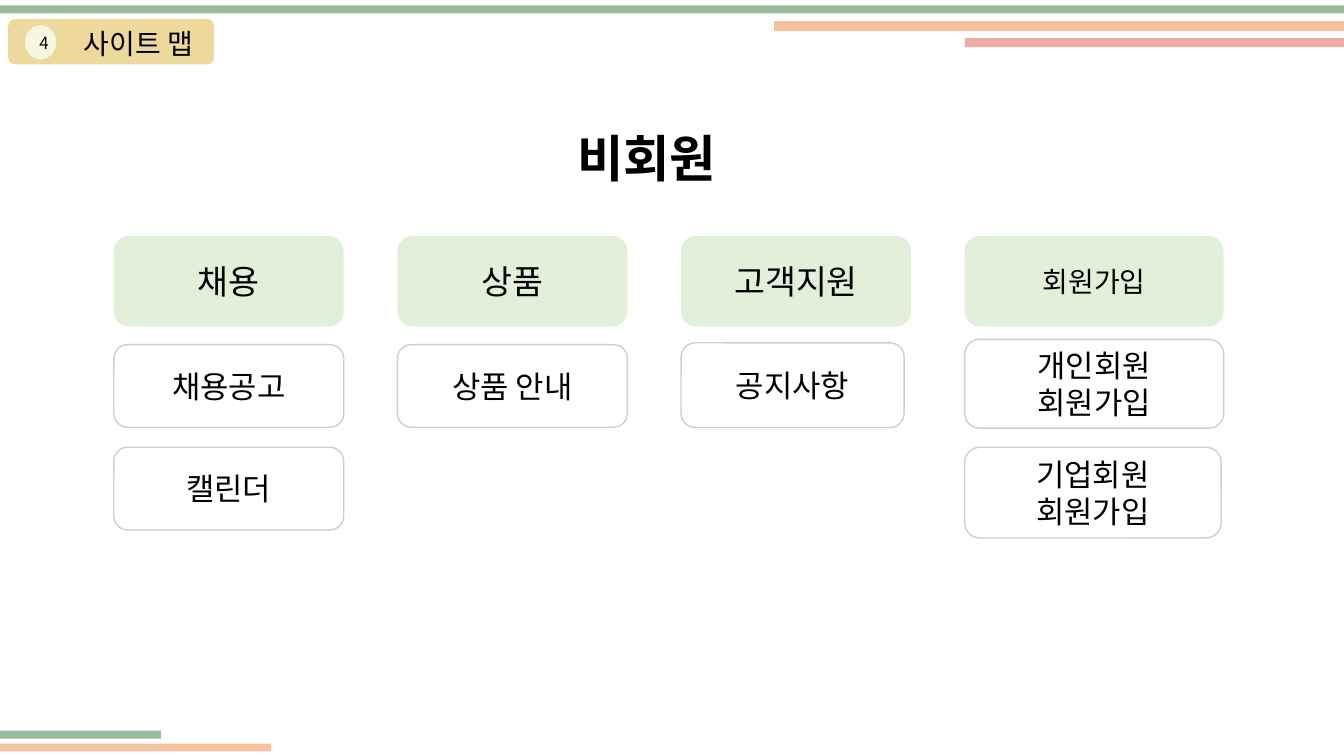
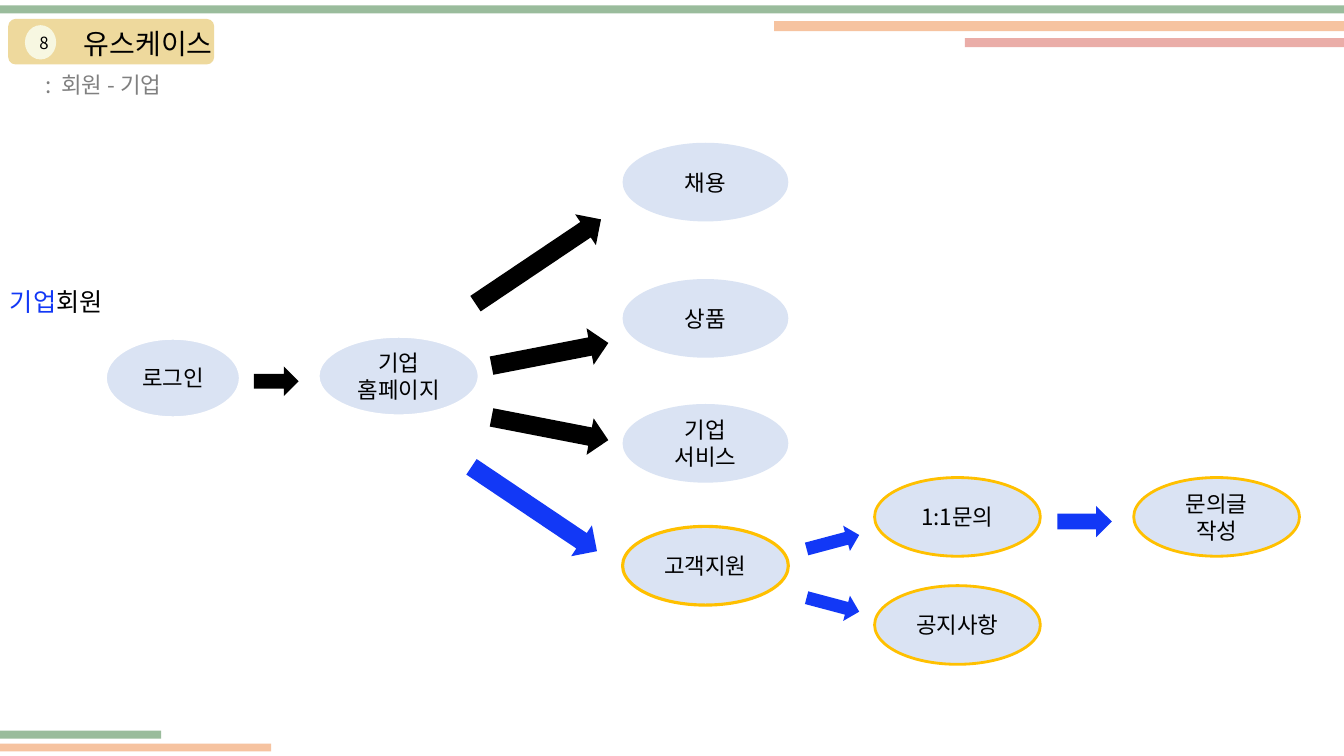
"""Build a site map slide and a use case slide that share one frame."""
from dataclasses import dataclass
from typing import NamedTuple

from lxml.etree import SubElement
from pptx import Presentation
from pptx.dml.color import RGBColor
from pptx.enum.shapes import MSO_SHAPE
from pptx.enum.text import MSO_ANCHOR, PP_ALIGN
from pptx.oxml.ns import qn
from pptx.shapes.autoshape import Shape
from pptx.slide import Slide
from pptx.util import Pt

FONT = "Noto Sans CJK KR"
COLORS = {
    "green": "9ABC9C", "orange": "F6C3A0", "pink": "EAADA8",
    "tag": "EED99D", "badge": "F7F7E1", "head": "E2F0D9",
    "border": "D0CECE", "node": "DAE3F3", "gold": "FFC000",
    "blue": "1238F6", "gray": "808080", "black": "000000", "white": "FFFFFF",
}
TEXT_BOX = {"word_wrap": True, "vertical_anchor": MSO_ANCHOR.TOP}
SHAPE_TEXT = {"word_wrap": True, "vertical_anchor": MSO_ANCHOR.MIDDLE}

SLIDE_W, SLIDE_H = 960, 540
COL_LEFT, COL_PITCH = 81.3, 202.6
HEAD_TOP, HEAD_H = 168.5, 64.8
NODE_W, NODE_H = 118.4, 56.2


class Box(NamedTuple):
    """Left, top, width and height in points."""
    left: float
    top: float
    width: float
    height: float


@dataclass
class Item:
    """One page under a site map heading."""
    text: str
    top: float = 246.2
    height: float = 59
    width: float = 164.2


@dataclass
class Column:
    """One site map heading with its pages."""
    head: str
    items: list[Item]
    width: float = 164.2
    size: float = 24


@dataclass
class Node:
    """One use case ellipse."""
    text: str
    left: float
    top: float
    line: str = ""
    weight: float = 2
    width: float = NODE_W


@dataclass
class Arrow:
    """One block arrow turned by an angle."""
    box: Box
    angle: float = 0
    color: str = "black"


BANDS = [
    (Box(0, 3.8, SLIDE_W, 5.8), "green"),
    (Box(553, 15.1, 407, 7.2), "orange"),
    (Box(0, 531.2, 193.7, 5.6), "orange"),
    (Box(0, 521.8, 115.2, 5.8), "green"),
    (Box(689.2, 27.2, 270.8, 6.5), "pink"),
]
COLUMNS = [
    Column("채용", [Item("채용공고"), Item("캘린더", 319.5)]),
    Column("상품", [Item("상품 안내")]),
    Column("고객지원", [Item("공지사항", 244.9, 60.5, 159.3)]),
    Column("회원가입", [Item("개인회원\n회원가입", 242.4, 63.4, 185),
                    Item("기업회원\n회원가입", 319.5, 64.8, 183.2)], 185, 20),
]
NODES = [
    Node("로그인", 75.6, 241.9, "white", 1.5, 95.8),
    Node("기업\v홈페이지", 227.5, 240.5, "white", 1.5, 114.5),
    Node("채용", 444.7, 102),
    Node("상품", 444.7, 199.3),
    Node("기업\n서비스", 444.7, 288.6),
    Node("고객지원", 444.7, 376, "gold", 2.25),
    Node("1:1문의", 624.7, 341.1, "gold"),
    Node("공지사항", 624.7, 418.3, "gold"),
    Node("문의글\n작성", 809.8, 341.1, "gold"),
]
ARROWS = [
    Arrow(Box(181.3, 261.7, 32, 21.2)),
    Arrow(Box(330.5, 173.5, 108, 26.6), 326.1),
    Arrow(Box(350.3, 239.8, 85, 26.6), 349),
    Arrow(Box(350.3, 293, 85, 26.6), 11),
    Arrow(Box(327.6, 350.3, 108, 26.6), 33.9, "blue"),
    Arrow(Box(575.5, 377.8, 38.9, 18.7), 345.1, "blue"),
    Arrow(Box(575.5, 422.6, 38.9, 18.7), 14.9, "blue"),
    Arrow(Box(755.3, 361.4, 38.9, 22.3), 0, "blue"),
]


def rgb(name: str) -> RGBColor:
    """Return a named colour."""
    return RGBColor.from_string(COLORS[name])


def style(sp: Shape, frame: dict, size: float, align: PP_ALIGN,
          color: str = "black", bold: bool = False) -> None:
    """Format all text of a shape."""
    tf = sp.text_frame
    for key, value in frame.items():
        setattr(tf, key, value)
    fmt = {"name": FONT, "size": Pt(size), "bold": bold}
    for p in tf.paragraphs:
        p.alignment = align
        for r in p.runs:
            for key, value in fmt.items():
                setattr(r.font, key, value)
            r.font.color.rgb = rgb(color)
            SubElement(r.font._element, qn("a:ea"), typeface=FONT)


def add_box(s: Slide, kind: MSO_SHAPE, box: Box, fill: str, text: str = "",
            size: float = 16, line: str = "", weight: float = 1,
            align: PP_ALIGN = PP_ALIGN.CENTER) -> Shape:
    """Add a filled preset shape with optional text."""
    sp = s.shapes.add_shape(kind, *map(Pt, box))
    sp.shadow.inherit = False
    sp.fill.solid()
    sp.fill.fore_color.rgb = rgb(fill)
    if line:
        sp.line.color.rgb = rgb(line)
        sp.line.width = Pt(weight)
    else:
        sp.line.fill.background()
    if text:
        sp.text_frame.text = text
        style(sp, SHAPE_TEXT, size, align)
    return sp


def add_text(s: Slide, box: Box, text: str, size: float,
             align: PP_ALIGN = PP_ALIGN.LEFT, color: str = "black",
             bold: bool = False) -> Shape:
    """Add a wrapping text box."""
    sp = s.shapes.add_textbox(*map(Pt, box))
    sp.text_frame.text = text
    style(sp, TEXT_BOX, size, align, color, bold)
    return sp


def add_slide(prs: Presentation, number: str, title: str) -> Slide:
    """Add a slide with the shared bands, tag, badge and title."""
    s = prs.slides.add_slide(prs.slide_layouts[5])
    for box, color in BANDS:
        add_box(s, MSO_SHAPE.RECTANGLE, box, color)
    tag = add_box(s, MSO_SHAPE.ROUNDED_RECTANGLE, Box(5.8, 13.5, 147.2, 32.6), "tag")
    add_box(s, MSO_SHAPE.OVAL, Box(17.8, 18, 22.3, 24.5), "badge", number, 12,
            align=PP_ALIGN.LEFT)
    sp = s.shapes.title
    tag.element.addnext(sp.element)
    place = zip(("left", "top", "width", "height"), Box(52.6, 15.1, 147.6, 31.5))
    for key, value in place:
        setattr(sp, key, Pt(value))
    sp.text_frame.text = title
    style(sp, TEXT_BOX, 20, PP_ALIGN.LEFT)
    return s


def build_site_map(prs: Presentation) -> None:
    """Draw the site map for visitors."""
    s = add_slide(prs, "4", "사이트 맵")
    add_text(s, Box(383, 87.1, 157.7, 51), "비회원", 36, PP_ALIGN.CENTER, bold=True)
    for i, col in enumerate(COLUMNS):
        left = COL_LEFT + i * COL_PITCH
        add_box(s, MSO_SHAPE.ROUNDED_RECTANGLE,
                Box(left, HEAD_TOP, col.width, HEAD_H), "head", col.head, col.size)
        for item in col.items:
            add_box(s, MSO_SHAPE.ROUNDED_RECTANGLE,
                    Box(left, item.top, item.width, item.height),
                    "white", item.text, 22, "border")


def build_use_case(prs: Presentation) -> None:
    """Draw the use case of a company member."""
    s = add_slide(prs, "8", "유스케이스")
    add_text(s, Box(25.2, 47.5, 109.4, 26.6), ":  회원 - 기업", 16, color="gray")
    sp = add_text(s, Box(0, 200.9, 92.9, 28.8), "기업", 18, PP_ALIGN.JUSTIFY)
    p = sp.text_frame.paragraphs[0]
    p.add_run().text = "회원"
    style(sp, TEXT_BOX, 18, PP_ALIGN.JUSTIFY)
    p.runs[0].font.color.rgb = rgb("blue")
    for node in NODES:
        add_box(s, MSO_SHAPE.OVAL, Box(node.left, node.top, node.width, NODE_H),
                "node", node.text, 16, node.line, node.weight)
    for arrow in ARROWS:
        sp = add_box(s, MSO_SHAPE.RIGHT_ARROW, arrow.box, arrow.color)
        sp.rotation = arrow.angle


def main() -> None:
    """Build and save the presentation."""
    prs = Presentation()
    prs.slide_width, prs.slide_height = Pt(SLIDE_W), Pt(SLIDE_H)
    build_site_map(prs)
    build_use_case(prs)
    prs.save("out.pptx")


if __name__ == "__main__":
    main()
